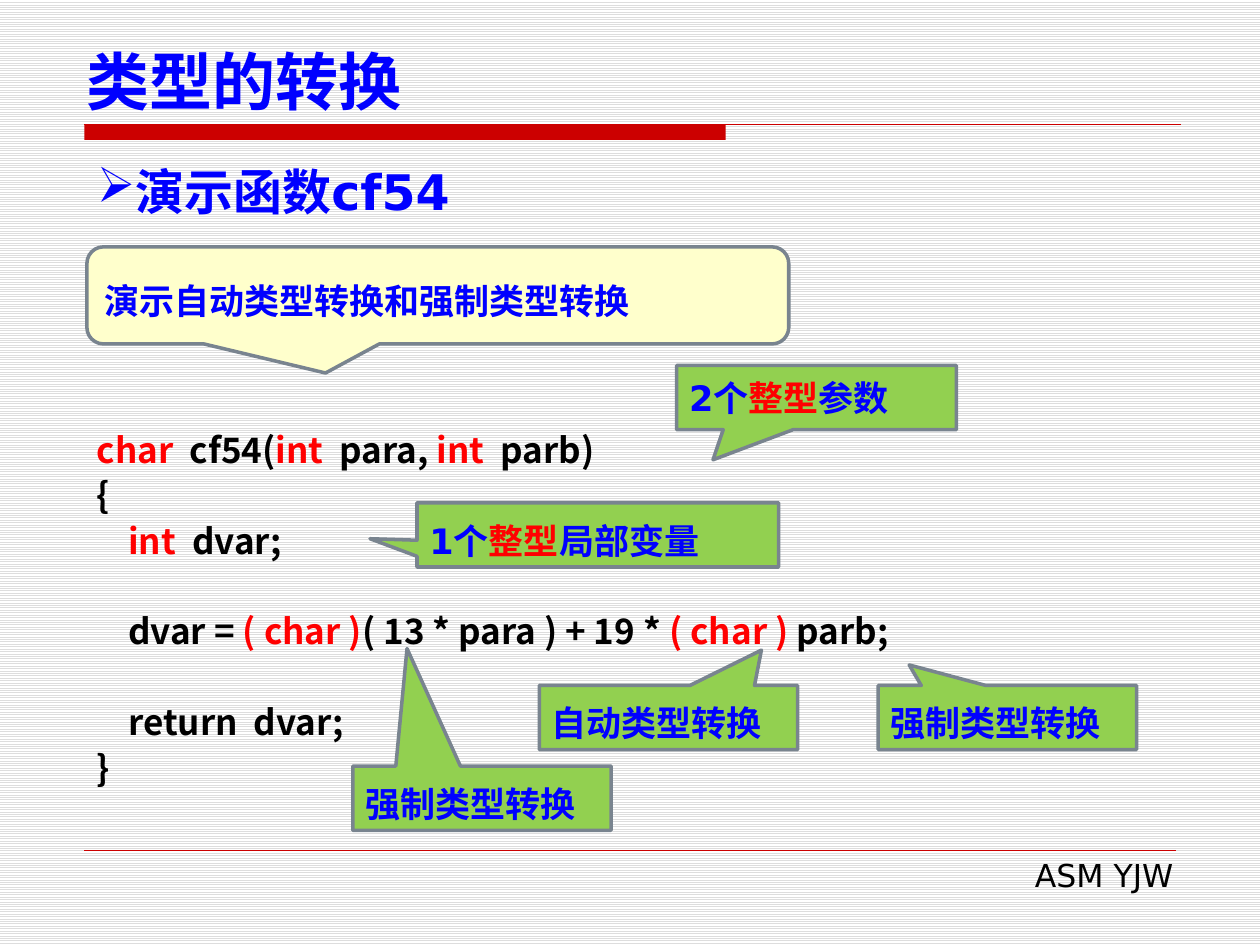
from dataclasses import dataclass

from lxml import etree
from pptx import Presentation
from pptx import util as u
from pptx.dml.color import RGBColor
from pptx.enum import dml, shapes, text
from pptx.oxml.ns import qn


@dataclass(frozen=True)
class Theme:
    blue: str = "0000FF"
    red: str = "FF0000"
    black: str = "000000"
    rule: str = "CC0000"
    outline: str = "79848F"
    green: str = "92D050"
    cream: str = "FFFFCC"
    stripe: str = "DDDDDD"
    paper: str = "FFFFFF"
    latin: str = "DejaVu Sans"
    cjk: str = "Noto Sans CJK SC"
    title: int = 36
    heading: int = 28
    body: int = 20
    footer: int = 18


T = Theme()

# The slide is a grid of 100 columns by 75 rows of square cells.
COLUMNS, ROWS, CELL = 100, 75, u.Inches(0.1)
MARGIN = 6.7
CALLOUT_HEIGHT = 5.1
CODE_LEADING, NOTE_LEADING = 26, 30

# Pieces between "|" marks alternate between the base and the accent colour.
TITLE = "类型的转换"
HEADING = "演示函数cf54"
FOOTER = "ASM YJW"
SUMMARY = "演示自动类型转换和强制类型转换"

# (indent level, blank lines before, wording)
CODE = [
    (0, 0, "|char|  cf54(|int  |para, |int  |parb)"),
    (0, 0, "{"),
    (1, 0, "|int  |dvar;"),
    (1, 1, "dvar = |( char )|( 13 * para ) + 19 * |( char ) |parb;"),
    (1, 1, "return  dvar;"),
    (0, 0, "}"),
]

# (wording, column, row, width, pointer tip, exact leading)
CALLOUTS = [
    ("强制类型转换", 28, 60.8, 20.5, (-0.29, -2.33), NOTE_LEADING),
    ("2个|整型|参数", 53.7, 29, 22.2, (-0.37, 0.97), None),
    ("1个|整型|局部变量", 33.1, 39.9, 28.7, (-0.63, 0.06), NOTE_LEADING),
    ("强制类型转换", 69.7, 54.4, 20.5, (-0.38, -0.82), NOTE_LEADING),
    ("自动类型转换", 42.8, 54.4, 20.5, (0.36, -1.05), NOTE_LEADING),
]


def cells(*counts):
    return [round(count * CELL) for count in counts]


def rgb(code):
    return RGBColor.from_string(code)


def write(frame, lines, *, size, color=T.blue, accent=T.red, font=T.latin,
          bold=True, align=text.PP_ALIGN.LEFT, anchor=text.MSO_ANCHOR.MIDDLE,
          leading=None, bullet=None):
    """Fill a frame with (indent level, blank lines before, wording) lines."""
    frame.word_wrap = True
    frame.vertical_anchor = anchor
    for number, (level, gap, wording) in enumerate(lines):
        paragraph = frame.add_paragraph() if number else frame.paragraphs[0]
        paragraph.alignment = align
        if leading:
            paragraph.line_spacing = u.Pt(leading)
            paragraph.space_before = u.Pt(gap * leading)
        properties = paragraph._p.get_or_add_pPr()
        if level:
            properties.set("marL", str(cells(2.5 * level)[0]))
        if bullet:
            etree.SubElement(properties, qn("a:buChar")).set("char", bullet)
        for index, piece in enumerate(wording.split("|")):
            if not piece:
                continue
            run = paragraph.add_run()
            run.text = piece
            run.font.size = u.Pt(size)
            run.font.bold = bold
            run.font.name = font
            run.font.color.rgb = rgb(accent if index % 2 else color)
            east_asian = etree.SubElement(run._r.get_or_add_rPr(), qn("a:ea"))
            east_asian.set("typeface", T.cjk)


def add_text(slide, box, lines, **style):
    write(slide.shapes.add_textbox(*cells(*box)).text_frame, lines, **style)


def add_filled(slide, kind, box, fill, outline=None):
    shape = slide.shapes.add_shape(kind, *cells(*box))
    shape.shadow.inherit = False
    shape.fill.solid()
    shape.fill.fore_color.rgb = rgb(fill)
    if outline:
        shape.line.color.rgb = rgb(outline)
        shape.line.width = u.Pt(2)
    else:
        shape.line.fill.background()
    return shape


def add_callout(slide, kind, box, fill, tip, wording, **style):
    callout = add_filled(slide, kind, box, fill, T.outline)
    for index, share in enumerate(tip):
        callout.adjustments[index] = share
    write(callout.text_frame, [(0, 0, wording)], size=T.body, **style)


def add_rule(slide, right, row, width):
    rule = slide.shapes.add_connector(
        shapes.MSO_CONNECTOR.STRAIGHT, *cells(MARGIN, row, right, row))
    rule.line.color.rgb = rgb(T.rule)
    rule.line.width = u.Pt(width)
    etree.SubElement(rule._element.spPr, qn("a:effectLst"))


def main():
    deck = Presentation()
    deck.slide_width, deck.slide_height = cells(COLUMNS, ROWS)
    slide = deck.slides.add_slide(deck.slide_layouts[6])
    paper = slide.background.fill
    paper.patterned()
    paper.pattern = dml.MSO_PATTERN.LIGHT_HORIZONTAL
    paper.fore_color.rgb = rgb(T.stripe)
    paper.back_color.rgb = rgb(T.paper)

    kinds = shapes.MSO_SHAPE
    add_filled(slide, kinds.RECTANGLE, (MARGIN, 9.9, 50.9, 1.2), T.rule)
    add_rule(slide, 93.7, 9.9, 0.75)
    add_rule(slide, 93.3, 67.5, 0.25)
    add_text(slide, (38.2, 67.4, 55.9, 4), [(0, 0, FOOTER)], size=T.footer,
             color=T.black, bold=False, align=text.PP_ALIGN.RIGHT)

    add_text(slide, (5.9, 2.8, 90.6, 7.1), [(0, 0, TITLE)], size=T.title,
             font=T.cjk, anchor=text.MSO_ANCHOR.BOTTOM)
    add_text(slide, (MARGIN, 12.3, 86.6, 5.7), [(0, 0, HEADING)],
             size=T.heading, align=text.PP_ALIGN.JUSTIFY, bullet="➢")
    add_text(slide, (MARGIN, 33.2, 78, 30.2), CODE, size=T.body,
             color=T.black, font=T.cjk, anchor=text.MSO_ANCHOR.TOP,
             leading=CODE_LEADING)

    add_callout(slide, kinds.ROUNDED_RECTANGULAR_CALLOUT,
                (6.9, 19.6, 55.7, 7.7), T.cream, (-0.16, 0.8, 0.17), SUMMARY,
                font=T.cjk, leading=NOTE_LEADING)
    for wording, column, row, width, tip, leading in CALLOUTS:
        add_callout(slide, kinds.RECTANGULAR_CALLOUT,
                    (column, row, width, CALLOUT_HEIGHT), T.green, tip,
                    wording, leading=leading)

    deck.save("out.pptx")


if __name__ == "__main__":
    main()
